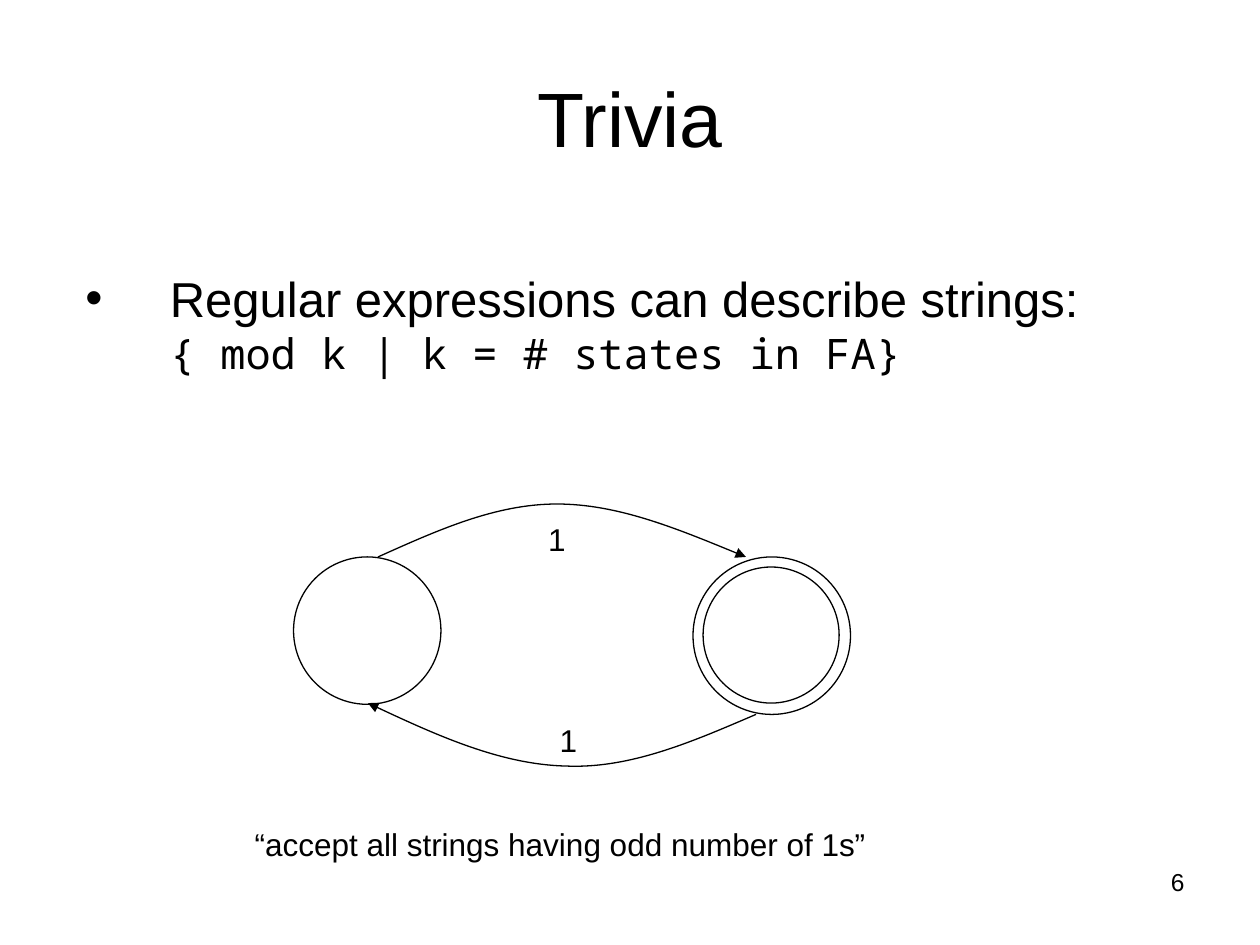
from lxml import etree
from pptx import Presentation
from pptx.dml.color import RGBColor
from pptx.enum.shapes import MSO_SHAPE
from pptx.enum.text import MSO_ANCHOR, MSO_AUTO_SIZE, PP_ALIGN as Align
from pptx.oxml.ns import qn
from pptx.util import Inches, Pt

COLORS = {"ink": "000000"}
SANS, MONO = "Arial", "Noto Sans Mono"

TITLE = "Trivia"
BULLET_TEXT = "Regular expressions can describe strings:"
SET_TEXT = "{ mod k | k = # states in FA}"
PAGE_NUMBER = "6"

# Left, top, width, height, text
LABELS = [
    (4.25, 4.08, 0.34, 0.4, "1"),
    (4.34, 5.67, 0.34, 0.4, "1"),
    (1.92, 6.5, 5.05, 0.4, "“accept all strings having odd number of 1s”"),
]

# Left, top, diameter
START_STATE = (2.33, 4.42, 1.17)
ACCEPTING_STATE = [(5.5, 4.42, 1.25), (5.58, 4.5, 1.08)]

# Start point, then two control points and an end point for each curve
TRANSITIONS = [
    [(3, 4.42), (3.47, 4.21), (3.93, 4), (4.42, 4),
     (4.9, 4), (5.41, 4.21), (5.92, 4.42)],
    [(6, 5.67), (5.51, 5.88), (5.01, 6.1), (4.5, 6.08),
     (3.99, 6.07), (3.45, 5.83), (2.92, 5.58)],
]


def ink():
    return RGBColor.from_string(COLORS["ink"])


def add_run(paragraph, text, size, font=SANS):
    run = paragraph.add_run()
    run.text = text
    run.font.size = Pt(size)
    run.font.name = font
    run.font.color.rgb = ink()


def add_text_box(slide, left, top, width, height, wrap=True):
    box = slide.shapes.add_textbox(*map(Inches, (left, top, width, height)))
    box.text_frame.word_wrap = wrap
    return box.text_frame


def style_outline(shape):
    shape.shadow.inherit = False
    shape.fill.background()
    shape.line.color.rgb = ink()
    shape.line.width = Pt(0.75)


def add_circle(shapes, left, top, diameter):
    circle = shapes.add_shape(MSO_SHAPE.OVAL, Inches(left), Inches(top),
                              Inches(diameter), Inches(diameter))
    style_outline(circle)


def add_transition(slide, points):
    """Draw a curved arrow: each three line segments become one Bezier curve."""
    start, *rest = [(Inches(x), Inches(y)) for x, y in points]
    builder = slide.shapes.build_freeform(*start)
    builder.add_line_segments(rest, close=False)
    shape = builder.convert_to_shape()
    style_outline(shape)

    outline = next(shape.element.iter(qn("a:path")))
    segments = outline.findall(qn("a:lnTo"))
    for first in range(0, len(segments), 3):
        curve = etree.SubElement(outline, qn("a:cubicBezTo"))
        for segment in segments[first:first + 3]:
            curve.append(segment[0])
            outline.remove(segment)

    line = shape.element.spPr.find(qn("a:ln"))
    etree.SubElement(line, qn("a:tailEnd"), type="triangle")


def add_title(slide):
    title = slide.shapes.title
    title.left, title.top, title.width, title.height = map(
        Inches, (0.5, 0.3, 9, 1.25))
    title.text_frame.vertical_anchor = MSO_ANCHOR.MIDDLE
    paragraph = title.text_frame.paragraphs[0]
    paragraph.alignment = Align.CENTER
    add_run(paragraph, TITLE, 44)


def add_body(slide):
    paragraph = add_text_box(slide, 0.58, 2.08, 9.42, 1.2).paragraphs[0]
    properties = paragraph._p.get_or_add_pPr()
    properties.set("marL", str(Inches(0.67)))
    properties.set("indent", str(-Inches(0.67)))
    etree.SubElement(properties, qn("a:buFont"), typeface=SANS)
    etree.SubElement(properties, qn("a:buChar"), char="•")
    add_run(paragraph, BULLET_TEXT, 28)
    paragraph.add_line_break()
    add_run(paragraph, SET_TEXT, 24, MONO)


def add_labels(slide):
    for *place, text in LABELS:
        frame = add_text_box(slide, *place, wrap=False)
        frame.auto_size = MSO_AUTO_SIZE.SHAPE_TO_FIT_TEXT
        paragraph = frame.paragraphs[0]
        paragraph.alignment = Align.CENTER
        add_run(paragraph, text, 18)


def add_page_number(slide):
    paragraph = add_text_box(slide, 7.17, 6.83, 2.33, 0.52).paragraphs[0]
    paragraph.alignment = Align.RIGHT
    add_run(paragraph, PAGE_NUMBER, 14)


def main():
    presentation = Presentation()
    presentation.slide_width, presentation.slide_height = Inches(10), Inches(7.5)
    slide = presentation.slides.add_slide(presentation.slide_layouts[5])

    add_title(slide)
    add_body(slide)
    accepting = slide.shapes.add_group_shape()
    for ring in ACCEPTING_STATE:
        add_circle(accepting.shapes, *ring)
    add_circle(slide.shapes, *START_STATE)
    for points in TRANSITIONS:
        add_transition(slide, points)
    add_labels(slide)
    add_page_number(slide)

    presentation.save("out.pptx")


if __name__ == "__main__":
    main()
